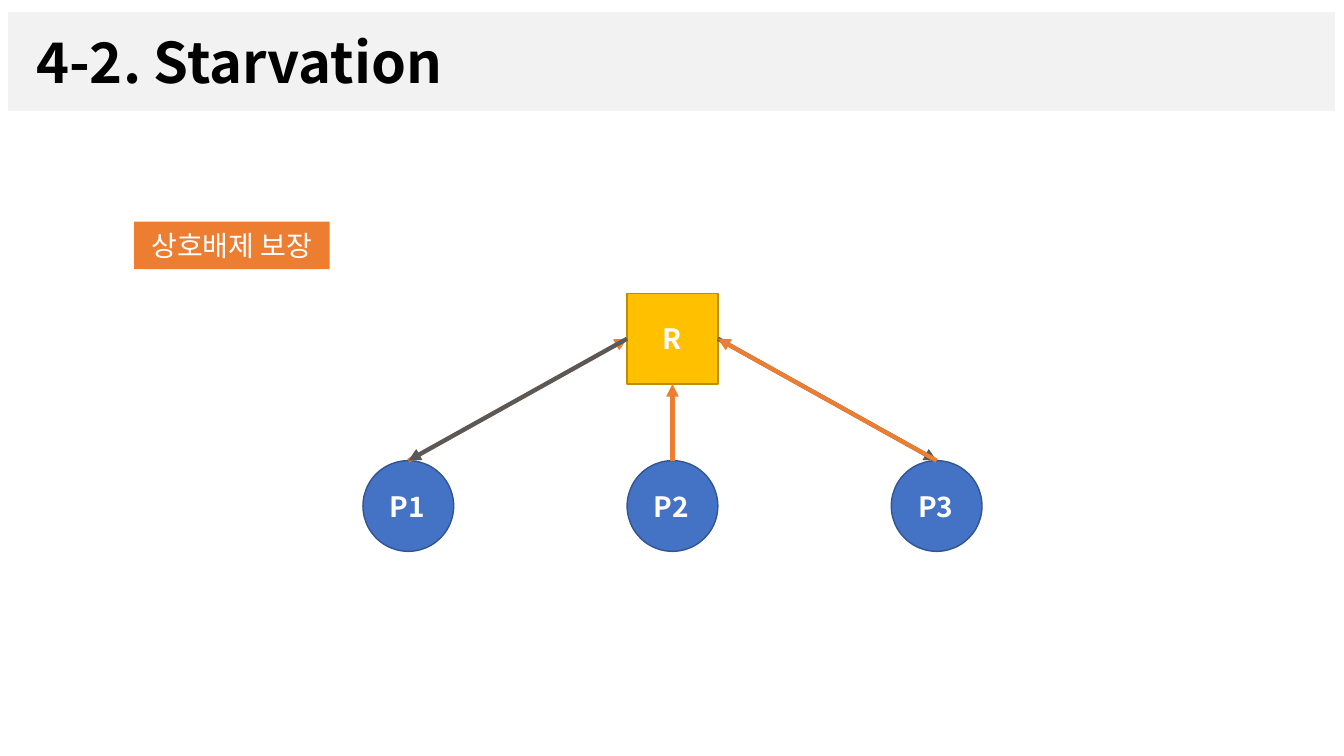
import pptx
import pptx.util
import pptx.oxml.ns
import pptx.dml.color
import pptx.enum.shapes
import pptx.enum.text
from lxml import etree

Inches = pptx.util.Inches
Pt = pptx.util.Pt
qn = pptx.oxml.ns.qn
SHAPE = pptx.enum.shapes.MSO_SHAPE
ALIGN = pptx.enum.text.PP_ALIGN
FONT = "Noto Sans CJK KR"
COLORS = {
    "band": "F2F2F2", "black": "000000", "white": "FFFFFF",
    "orange": "ED7D31", "gray": "595959",
    "process": "4472C4", "process_edge": "325491",
    "resource": "FFC000", "resource_edge": "BD8E00",
}


def rgb(name):
    return pptx.dml.color.RGBColor.from_string(COLORS[name])


def add_block(kind, box, text, fill, edge=None, size=20, bold=True,
              color="white", align=ALIGN.CENTER, inset=0.1):
    block = slide.shapes.add_shape(kind, *[Inches(v) for v in box])
    block.shadow.inherit = False
    block.fill.solid()
    block.fill.fore_color.rgb = rgb(fill)
    if edge:
        block.line.color.rgb = rgb(edge)
        block.line.width = Pt(1)
    else:
        block.line.fill.background()
    frame = block.text_frame
    frame.word_wrap = True
    frame.vertical_anchor = pptx.enum.text.MSO_ANCHOR.MIDDLE
    frame.margin_left = Inches(inset)
    frame.text = text
    frame.paragraphs[0].alignment = align
    run = frame.paragraphs[0].runs[0]
    run.font.name = FONT
    run.font.size = Pt(size)
    run.font.bold = bold
    run.font.color.rgb = rgb(color)
    etree.SubElement(run.font._element, qn("a:ea"), typeface=FONT)
    return block


deck = pptx.Presentation()
deck.slide_width = Inches(13.33)
deck.slide_height = Inches(7.5)
slide = deck.slides.add_slide(deck.slide_layouts[6])

add_block(SHAPE.RECTANGLE, (0.08, 0.12, 13.16, 0.98), "4-2. Starvation", "band",
          size=40, color="black", align=ALIGN.LEFT, inset=0.28)
add_block(SHAPE.RECTANGLE, (1.33, 2.2, 1.94, 0.47), "상호배제 보장", "orange", bold=False)

node = 0.9
processes = {}
for i, name in enumerate(("P1", "P2", "P3")):
    processes[name] = add_block(SHAPE.OVAL, (3.6 + 2.62 * i, 4.57, node, node), name,
                                "process", "process_edge", inset=0.08)
resource = add_block(SHAPE.RECTANGLE, (6.22, 2.91, node, node), "R",
                     "resource", "resource_edge")

LEFT, BOTTOM, RIGHT = 1, 2, 3
requests = [
    ("P2", BOTTOM, True),
    ("P3", RIGHT, False),
    ("P1", LEFT, True),
    ("P1", LEFT, False),
    ("P3", RIGHT, True),
]
for name, side, to_resource in requests:
    ends = [(processes[name], 0), (resource, side)]
    start, finish = ends if to_resource else ends[::-1]
    arrow = slide.shapes.add_connector(pptx.enum.shapes.MSO_CONNECTOR.STRAIGHT, 0, 0, 0, 0)
    arrow.begin_connect(*start)
    arrow.end_connect(*finish)
    arrow.line.color.rgb = rgb("orange" if to_resource else "gray")
    arrow.line.width = Pt(3)
    etree.SubElement(arrow.line._get_or_add_ln(), qn("a:tailEnd"), type="triangle")
    etree.SubElement(arrow._element.spPr, qn("a:effectLst"))

deck.save("out.pptx")
